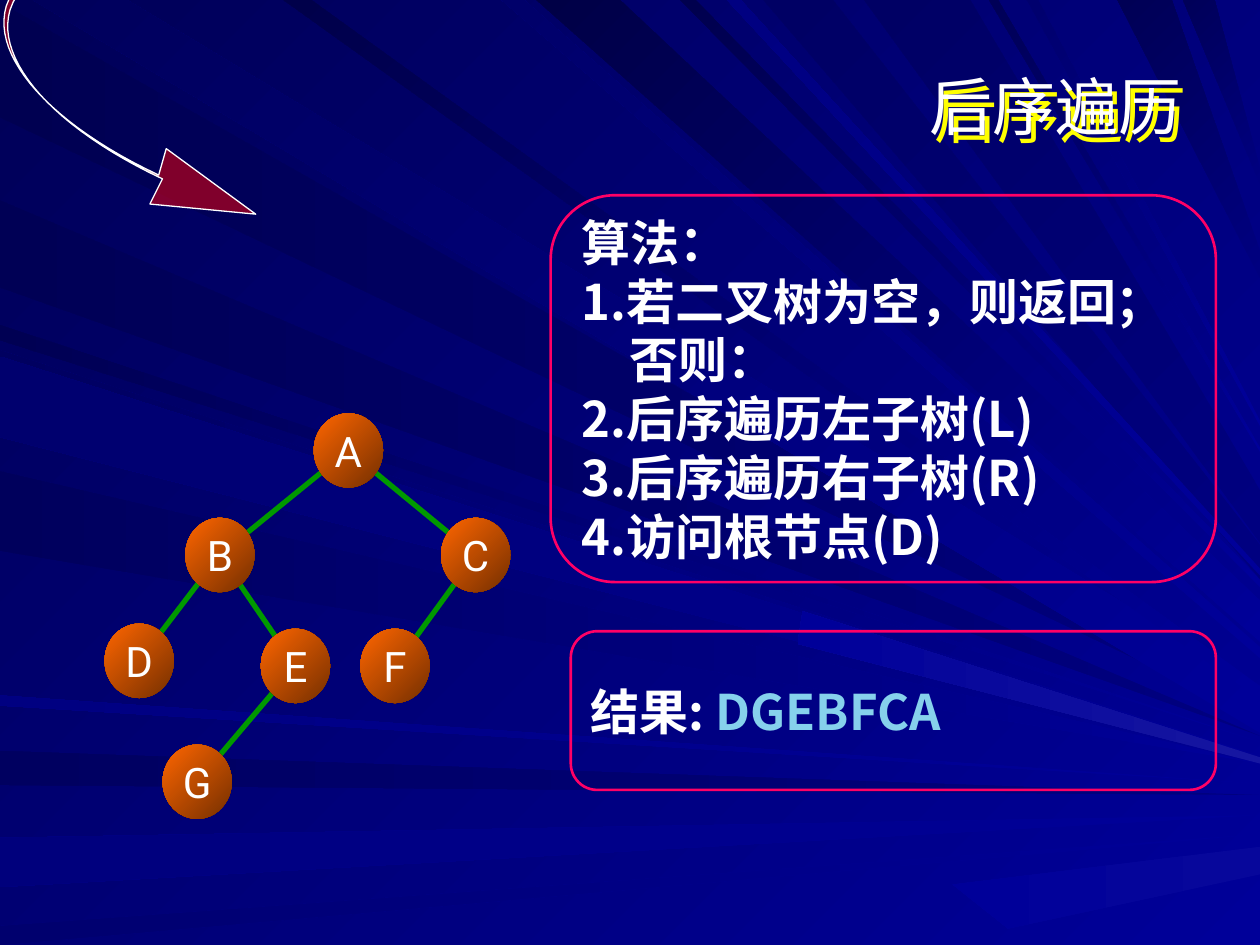
from lxml import etree
from pptx import Presentation
from pptx.dml.color import RGBColor
from pptx.enum.shapes import MSO_CONNECTOR, MSO_SHAPE
from pptx.enum.text import MSO_ANCHOR, PP_ALIGN
from pptx.oxml.ns import qn
from pptx.util import Inches, Pt

CJK = "Noto Sans CJK SC"
WHITE, PINK, GREEN = "FFFFFF", "FF0066", "009900"
NAVY, BLUE = "000080", "000099"
SLIDE_W, SLIDE_H = 10, 7.5

# Rays from the left edge: y from, y to, y of the tip on the right edge, colours
LEFT_RAYS = [
    (.02, .93, 5.7, NAVY, "000051"), (5.96, 6.23, 6.31, NAVY, "000060"),
    (6.65, 7.04, 6.47, BLUE, "00007C"), (7.35, 7.5, 6.62, BLUE, "00006E"),
    (2.58, 2.7, 5.89, BLUE, "000053"), (1.59, 2.28, 5.84, NAVY, "000055"),
    (2.78, 3.42, 6, BLUE, "000060"), (3.74, 4.37, 6.06, BLUE, "00005C"),
    (5.52, 5.6, 6.22, BLUE, "000081"), (2.83, 3.47, 6.03, BLUE, "00006E"),
]
# Rays from the top edge: x from, x to, y of the tip on the right edge, colours
TOP_RAYS = [
    (.26, 1.01, 5.63, BLUE, "00005C"), (3.98, 4.16, 5.18, BLUE, "00006A"),
    (4.26, 4.92, 4.93, BLUE, "000046"), (5.4, 5.52, 4.63, BLUE, "00004E"),
    (6.06, 6.61, 4.46, NAVY, "000064"), (8.87, 9.3, 2.1, NAVY, "000055"),
    (9.39, 9.64, 1.4, NAVY, "000059"), (2.25, 2.47, 5.5, BLUE, "00004A"),
    (5.77, 5.88, 4.54, BLUE, "000081"), (6.86, 7.7, 4.1, NAVY, "000064"),
    (7.85, 7.92, 3.57, BLUE, "000057"), (8.15, 8.24, 3.36, BLUE, "00006E"),
]
# Light streaks at the right edge
STREAKS = [
    ([(6.37, 4.85), (6.33, 5.11), (10, 6.06), (10, 6.01)], "1616A1"),
    ([(7.56, 7.02), (8, 7.37), (10, 6.94), (10, 6.72)], "07079B"),
]

# Tree: node offsets from the corner of the tree, and parent-child pairs
NODES = {"A": (1.66, 0), "B": (.64, .83), "C": (2.67, .83), "D": (0, 1.67),
         "E": (1.24, 1.71), "F": (2.03, 1.71), "G": (.46, 2.63)}
BRANCHES = ["AB", "AC", "BD", "BE", "CF", "EG"]
NODE_W, NODE_H = .55, .59

ALGORITHM = ["算法：", "1.若二叉树为空，则返回；否则：", "2.后序遍历左子树(L)",
             "3.后序遍历右子树(R)", "4.访问根节点(D)"]


def rgb(color):
    return RGBColor.from_string(color)


def paint(fill, start, end=None, angle=0):
    """Fill with one colour, or with a gradient at a clockwise angle."""
    if end is None:
        fill.solid()
        fill.fore_color.rgb = rgb(start)
        return
    fill.gradient()
    fill.gradient_angle = 360 - angle
    for stop, color in zip(fill.gradient_stops, (start, end)):
        stop.color.rgb = rgb(color)


def set_font(font, name, size, bold=False):
    font.name, font.size, font.bold = name, Pt(size), bold
    font.color.rgb = rgb(WHITE)
    etree.SubElement(font._rPr, qn("a:ea"), typeface=CJK)


def add_outline(slide, points):
    pts = [(Inches(x), Inches(y)) for x, y in points]
    builder = slide.shapes.build_freeform(*pts[0])
    builder.add_line_segments(pts[1:], close=True)
    s = builder.convert_to_shape()
    s.shadow.inherit = False
    return s


def add_ray(slide, points, start, end, angle):
    s = add_outline(slide, points)
    paint(s.fill, start, end, angle)
    s.line.fill.background()


def curve(p0, p1, p2, p3, steps=24):
    """Points along a cubic Bezier curve."""
    for i in range(steps + 1):
        t = i / steps
        u = 1 - t
        yield tuple(u**3 * a + 3 * u * u * t * b + 3 * u * t * t * c + t**3 * d
                    for a, b, c, d in zip(p0, p1, p2, p3))


def add_background(slide):
    paint(slide.background.fill, BLUE, "000057", 225)
    for y1, y2, tip, start, end in LEFT_RAYS:
        add_ray(slide, [(0, y1), (0, y2), (SLIDE_W, tip)], start, end, 180)
    for x1, x2, tip, start, end in TOP_RAYS:
        half = (x2 - x1) / 4  # wider rays keep a blunt tip
        add_ray(slide, [(x1, 0), (x2, 0), (SLIDE_W, tip - half), (SLIDE_W, tip + half)],
                start, end, 225)
    for points, color in STREAKS:
        add_ray(slide, points, color, BLUE, 180)


def add_swoosh(slide, x, y):
    """Curved arrow, with its head pointing at x, y."""
    bend = (-1.95, -1.62)
    tail = [*curve((.57, -1.9), (-.66, -2.27), (-1.79, -2.14), bend),
            *curve(bend, (-2.07, -1.21), (-1.59, -.68), (-.74, -.28))]
    head = [(-.84, -.08), (0, 0), (-.71, -.52)]
    inner = [(px - .03, py - .03) for px, py in reversed(tail)]
    s = add_outline(slide, [(x + px, y + py) for px, py in tail + head + inner])
    paint(s.fill, "FF0000")
    etree.SubElement(s._element.spPr.find(".//" + qn("a:srgbClr")), qn("a:alpha"), val="50000")
    s.line.color.rgb = rgb(WHITE)
    s.line.width = Pt(.75)


def add_title(slide, text, x, y, w, h):
    sp = slide.shapes.title
    slide.shapes._spTree.append(sp._element)  # in front of the rays
    sp.left, sp.top, sp.width, sp.height = map(Inches, (x, y, w, h))
    tf = sp.text_frame
    tf.text = text
    tf.vertical_anchor = MSO_ANCHOR.MIDDLE
    p = tf.paragraphs[0]
    p.alignment = PP_ALIGN.RIGHT
    set_font(p.font, "Arial", 36)
    # Yellow shadow
    effects = etree.SubElement(sp._element.spPr, qn("a:effectLst"))
    shadow = etree.SubElement(effects, qn("a:outerShdw"), dist=str(Inches(.07)),
                              dir="3600000", algn="ctr", rotWithShape="0")
    etree.SubElement(shadow, qn("a:srgbClr"), val="FFFF00")


def add_panel(slide, paragraphs, x, y, w, h):
    """Rounded frame; each paragraph is a list of (text, colour) runs."""
    s = slide.shapes.add_shape(MSO_SHAPE.ROUNDED_RECTANGLE, *map(Inches, (x, y, w, h)))
    s.shadow.inherit = False
    s.fill.background()
    s.line.color.rgb = rgb(PINK)
    s.line.width = Pt(1.5)
    tf = s.text_frame
    tf.word_wrap = True
    for i, runs in enumerate(paragraphs):
        p = tf.add_paragraph() if i else tf.paragraphs[0]
        p.alignment = PP_ALIGN.LEFT
        p.line_spacing = Pt(33.6)
        pPr = p._p.get_or_add_pPr()
        pPr.set("marL", str(Inches(.38)))
        pPr.set("indent", str(-Inches(.38)))
        set_font(p.font, CJK, 28, bold=True)
        for text, color in runs:
            r = p.add_run()
            r.text = text
            r.font.color.rgb = rgb(color)


def add_tree(slide, x, y):
    # Branches, trimmed at both ends so that the nodes cover them
    trim = .15
    for parent, child in BRANCHES:
        (x1, y1), (x2, y2) = NODES[parent], NODES[child]
        ends = [Inches(v) for t in (trim, 1 - trim)
                for v in (x + NODE_W / 2 + x1 + t * (x2 - x1),
                          y + NODE_H / 2 + y1 + t * (y2 - y1))]
        c = slide.shapes.add_connector(MSO_CONNECTOR.STRAIGHT, *ends)
        c.line.color.rgb = rgb(GREEN)
        c.line.width = Pt(3)
        etree.SubElement(c._element.spPr, qn("a:effectLst"))
    # Nodes
    for letter, (dx, dy) in NODES.items():
        s = slide.shapes.add_shape(MSO_SHAPE.OVAL,
                                   *map(Inches, (x + dx, y + dy, NODE_W, NODE_H)))
        s.shadow.inherit = False
        paint(s.fill, "752F00", "FF6600", 225)
        s.line.fill.background()
        tf = s.text_frame
        tf.text = letter
        tf.word_wrap = False
        tf.margin_left = tf.margin_right = 0
        p = tf.paragraphs[0]
        p.alignment = PP_ALIGN.CENTER
        set_font(p.font, "Roboto", 24)


def main():
    prs = Presentation()
    prs.slide_width, prs.slide_height = Inches(SLIDE_W), Inches(SLIDE_H)
    slide = prs.slides.add_slide(prs.slide_layouts[5])
    add_background(slide)
    add_swoosh(slide, 2.03, 1.7)
    add_title(slide, "后序遍历", .8, .21, 8.68, 1.25)
    add_panel(slide, [[(text, WHITE)] for text in ALGORITHM], 4.37, 1.55, 5.28, 3.07)
    add_tree(slide, .83, 3.28)
    add_panel(slide, [[("结果: ", WHITE), ("DGEBFCA", "86D1EC")]], 4.53, 5.01, 5.12, 1.26)
    prs.save("out.pptx")


if __name__ == "__main__":
    main()
